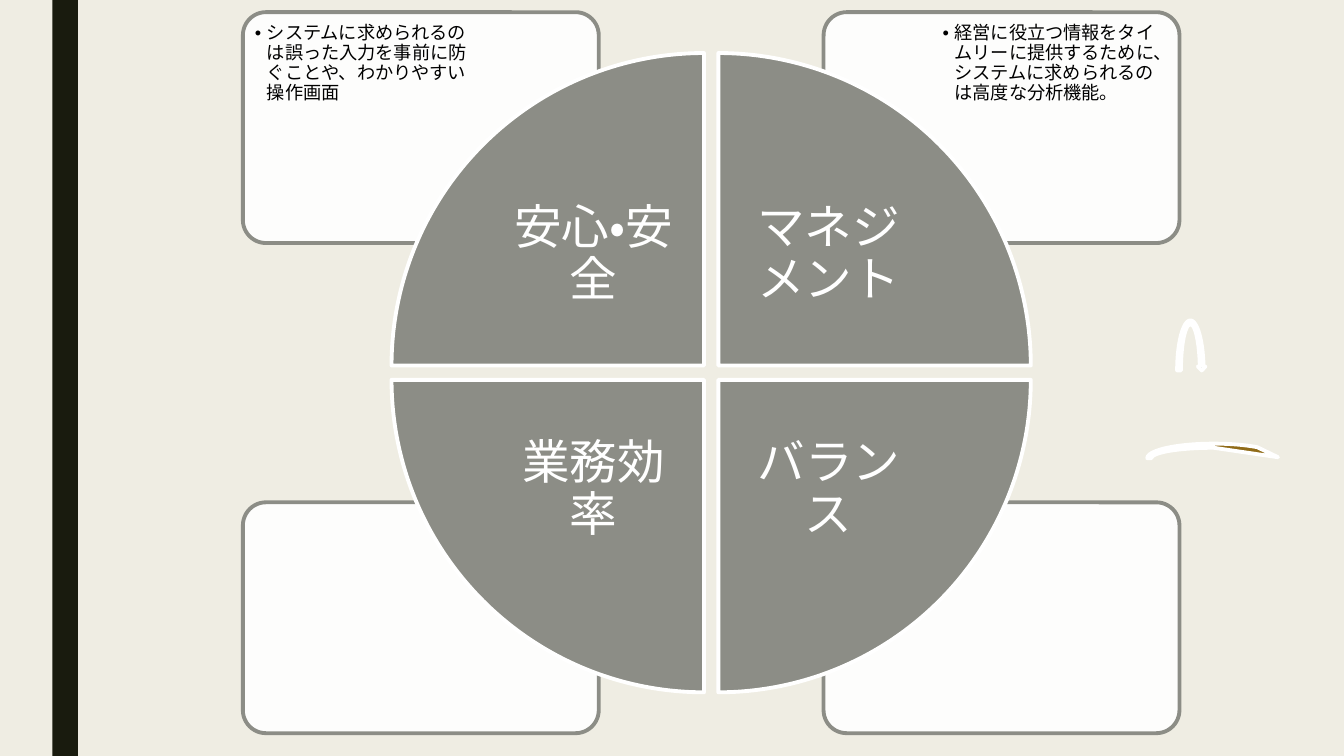
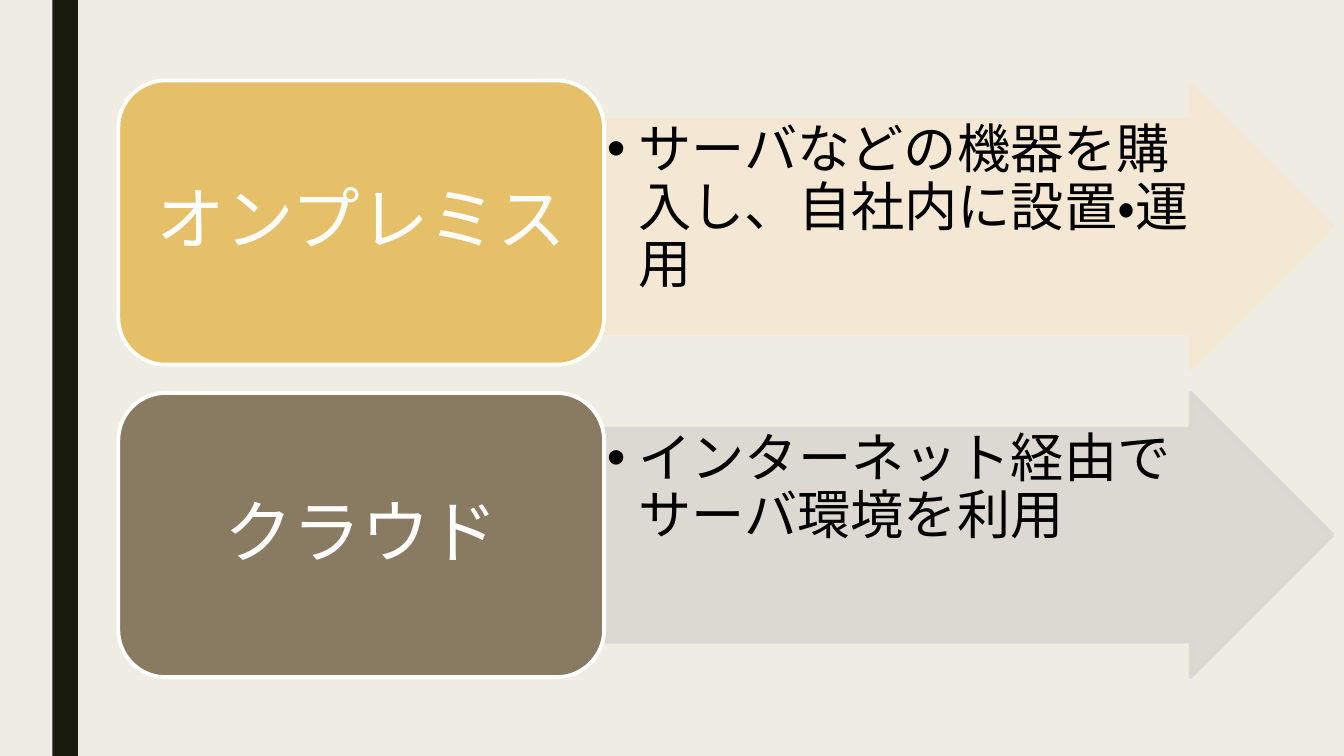
from lxml import etree
from pptx import Presentation
from pptx.dml.color import RGBColor
from pptx.enum.lang import MSO_LANGUAGE_ID as Lang
from pptx.enum.shapes import MSO_SHAPE as Preset
from pptx.enum.text import MSO_ANCHOR as Anchor, PP_ALIGN as Align
from pptx.oxml.ns import qn
from pptx.util import Pt

WIDTH, HEIGHT = 960, 540
LINE_WIDTH = 2.75
COLORS = {
    "page": "EFEDE3", "band": "191B0E", "white": "FFFFFF", "black": "000000",
    "grey": "8C8D86", "brown": "906B18", "silver": "C5C5C3",
    "gold": "E6C069", "cream": "F5E8D4", "taupe": "897B61", "mist": "DAD7D2",
}


def paint(fill, color, alpha=None):
    """Solid colour, with an optional opacity in percent."""
    fill.solid()
    fill.fore_color.rgb = RGBColor.from_string(COLORS[color])
    if alpha:
        tint = next(fill._xPr.iter(qn("a:srgbClr")))
        etree.SubElement(tint, qn("a:alpha"), val=str(alpha * 1000))


def add_part(slide, preset, box, fill, line=None, alpha=None, line_alpha=None):
    part = slide.shapes.add_shape(preset, *map(Pt, box))
    part.shadow.inherit = False
    paint(part.fill, fill, alpha)
    if line:
        part.line.width = Pt(LINE_WIDTH)
        paint(part.line.fill, line, line_alpha)
    else:
        part.line.fill.background()
    return part


def add_text_box(slide, box):
    return slide.shapes.add_textbox(*map(Pt, box))


def write(holder, text, font, size, color, insets, hang=None):
    """Centred label, or a top-aligned bullet when a hanging indent is given."""
    frame = holder.text_frame
    frame.word_wrap = True
    frame.vertical_anchor = Anchor.TOP if hang else Anchor.MIDDLE
    side, edge = insets
    frame.margin_left = frame.margin_right = Pt(side)
    frame.margin_top = frame.margin_bottom = Pt(edge)
    paragraph = frame.paragraphs[0]
    paragraph.alignment = Align.LEFT if hang else Align.CENTER
    paragraph.line_spacing = 0.9
    if hang:
        props = paragraph._p.get_or_add_pPr()
        props.set("marL", str(Pt(hang)))
        props.set("indent", str(-Pt(hang)))
        etree.SubElement(props, qn("a:buFont"), typeface="Arial")
        etree.SubElement(props, qn("a:buChar"), char="•")
    run = paragraph.add_run()
    run.text = text
    run.font.name = font
    run.font.size = Pt(size)
    run.font.language_id = Lang.JAPANESE
    run.font.color.rgb = RGBColor.from_string(COLORS[color])


def new_slide(prs):
    slide = prs.slides.add_slide(prs.slide_layouts[6])
    add_part(slide, Preset.RECTANGLE, (37.5, 0, 18.2, HEIGHT), "band")
    return slide


def add_quadrants(slide, box, topics):
    """Four corner panels behind a quartered circle; topics run clockwise."""
    left, top, width, height = box
    panel_w, panel_h = 254.2, 164.9
    note_w, note_h, note_gap = 170.6, 116.6, 3.6
    wedge, label, half_gap = 223.2, 157.7, 5.1
    center_x, center_y = left + width / 2, top + height / 2
    corners = [(0, 0), (1, 0), (1, 1), (0, 1)]  # right side, bottom side

    def near_center(size, right, bottom):
        x = center_x + (half_gap if right else -half_gap - size)
        y = center_y + (half_gap if bottom else -half_gap - size)
        return x, y, size, size

    # Panels and their notes
    for (right, bottom), (_, note) in zip(corners, topics):
        panel_x = left + right * (width - panel_w)
        panel_y = top + bottom * (height - panel_h)
        panel = add_part(slide, Preset.ROUNDED_RECTANGLE,
                         (panel_x, panel_y, panel_w, panel_h), "white", "grey", 90)
        panel.adjustments[0] = 0.1
        if note:
            note_x = panel_x + (panel_w - note_w - note_gap if right else note_gap)
            note_box = add_text_box(slide, (note_x, panel_y + note_gap, note_w, note_h))
            write(note_box, note, "Roboto", 13, "black", (5, 5), hang=8.6)

    # Wedges and their labels
    for turn, ((right, bottom), (name, _)) in enumerate(zip(corners, topics)):
        quarter = add_part(slide, Preset.PIE_WEDGE,
                           near_center(wedge, right, bottom), "grey", "white")
        quarter.rotation = 90 * turn
        name_box = add_text_box(slide, near_center(label, right, bottom))
        write(name_box, name, "Roboto", 34, "white", (18.7, 18.7))


def add_cycle_arrows(slide, left, top):
    for dx, dy, width, height, color in ((0, 87.9, 98, 23.8, "brown"),
                                         (21.5, 0, 21.6, 74.2, "silver")):
        add_part(slide, Preset.CIRCULAR_ARROW,
                 (left + dx, top + dy, width, height), color, "white")


def add_option(slide, box, name, detail, name_color, arrow_color, arrow_drop):
    """A named block with an arrow that carries its description."""
    left, top, width, height = box
    block_w = width * 0.4
    arrow = add_part(slide, Preset.RIGHT_ARROW,
                     (left + block_w, top + arrow_drop, width - block_w, height),
                     arrow_color, arrow_color, 90, 90)
    arrow.adjustments[0] = 0.75
    arrow.adjustments[1] = 0.5
    write(arrow, detail, "Arial", 38, "black", (2, 2), hang=22.5)
    block = add_part(slide, Preset.ROUNDED_RECTANGLE,
                     (left, top, block_w, height), name_color, "white")
    write(block, name, "Arial", 49, "white", (14, 7))


def build_values(prs):
    slide = new_slide(prs)
    add_quadrants(slide, (173.5, 8.7, 669, 515), [
        ("安心・安全", "システムに求められるのは誤った入力を事前に防ぐことや、わかりやすい操作画面"),
        ("マネジメント", "経営に役立つ情報をタイムリーに提供するために、システムに求められるのは高度な分析機能。"),
        ("バランス", None),
        ("業務効率", None),
    ])
    add_cycle_arrows(slide, 818, 227.5)


def build_options(prs):
    slide = new_slide(prs)
    options = [
        ("オンプレミス", "サーバなどの機器を購入し、自社内に設置・運用", "gold", "cream", 2.9),
        ("クラウド", "インターネット経由でサーバ環境を利用", "taupe", "mist", 0),
    ]
    for row, option in enumerate(options):
        add_option(slide, (84.5, 57.5 + row * 223.2, 867.5, 203), *option)


def main():
    prs = Presentation()
    prs.slide_width, prs.slide_height = Pt(WIDTH), Pt(HEIGHT)
    paint(prs.slide_master.background.fill, "page")
    build_values(prs)
    build_options(prs)
    prs.save("out.pptx")


if __name__ == "__main__":
    main()
